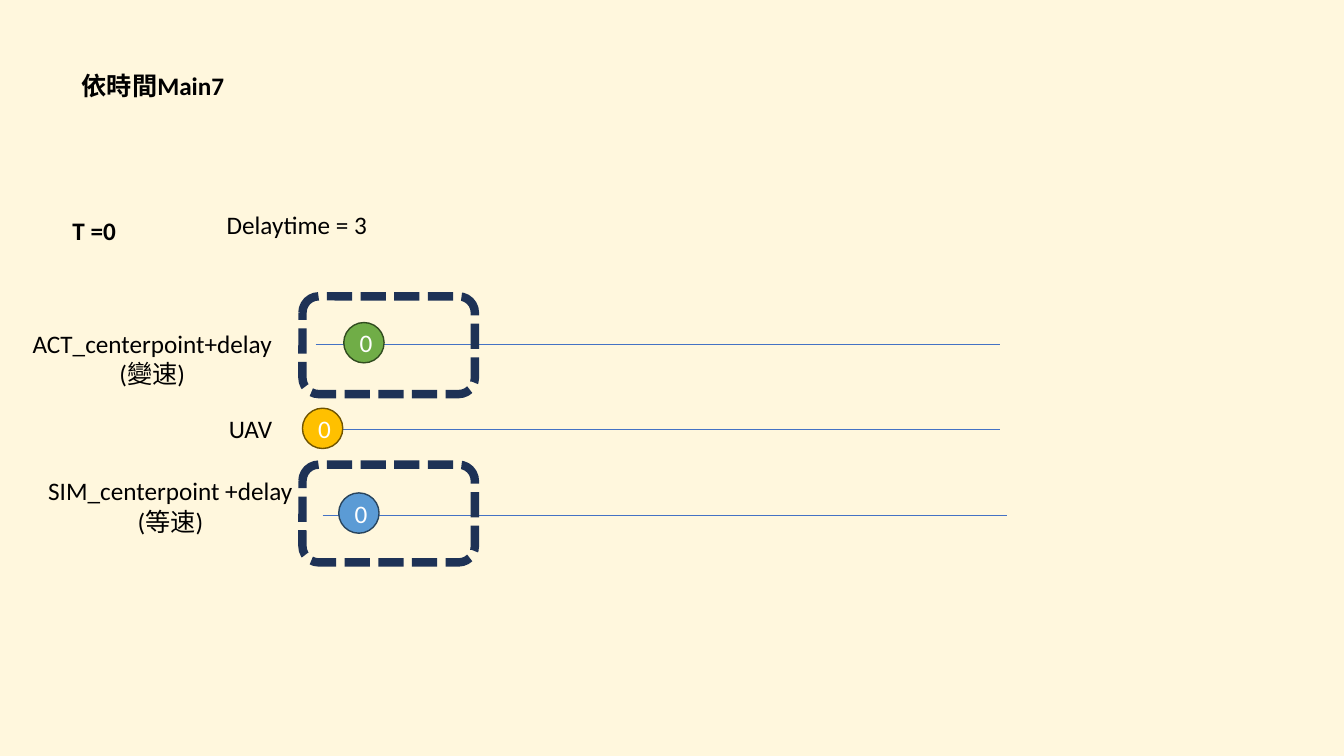
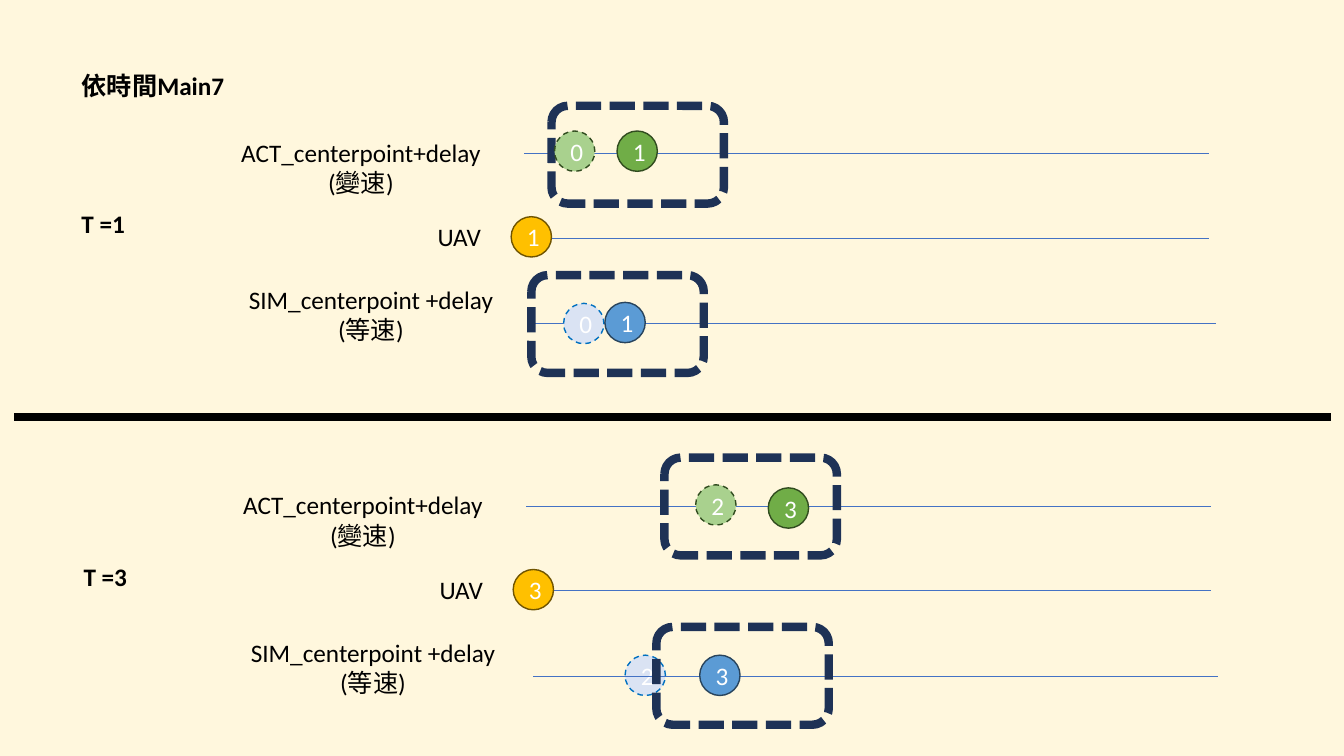
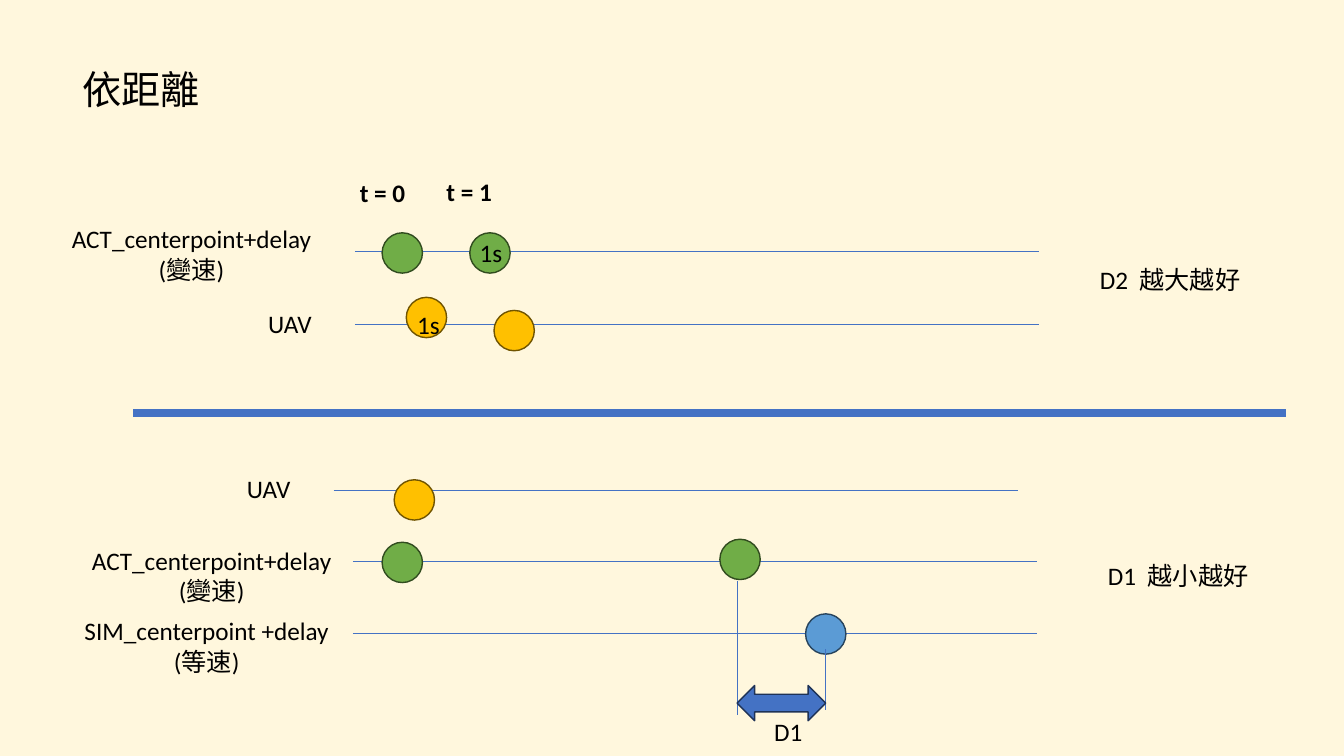
from dataclasses import dataclass

from lxml.etree import SubElement
from pptx import Presentation
from pptx.dml.color import RGBColor as Rgb
from pptx.enum.dml import MSO_LINE as Dash
from pptx.enum.shapes import MSO_CONNECTOR as Conn, MSO_SHAPE as Form
from pptx.enum.text import MSO_ANCHOR as Anchor, MSO_AUTO_SIZE as Fit, PP_ALIGN as Align
from pptx.oxml.ns import qn
from pptx.util import Pt

PX = 9144  # 100 px to the inch


@dataclass(frozen=True)
class Theme:
    font: str = "Calibri"
    size: int = 18
    large: int = 28
    back: str = "FFF7DD"
    ink: str = "000000"
    white: str = "FFFFFF"
    blue: str = "4472C4"
    navy: str = "1E3256"
    thin: float = 0.5
    edge: int = 1
    thick: int = 6


# Ball styles: fill, outline, dash
BALLS = {
    "act": ("70AD47", "314C1F", None),
    "uav": ("FFC000", "705400", None),
    "sim": ("5B9BD5", "28445D", None),
    "old act": ("A9D18E", "314C1F", Dash.DASH),
    "old sim": ("DAE3F3", "0070C0", Dash.DASH),
}
# Lane labels: text, width, offset from the start of the lane
LANES = {
    "act": ("ACT_centerpoint+delay\n(變速)", 284, -304, -21),
    "uav": ("UAV", 71, -100, -21),
    "sim": ("SIM_centerpoint +delay\n(等速)", 304, -311, -44),
}
LENGTH = 679


class Deck:
    def __init__(self, theme):
        self.theme = theme
        self.prs = Presentation()
        self.prs.slide_width, self.prs.slide_height = 1333 * PX, 750 * PX
        fill = self.prs.slide_master.background.fill
        fill.solid()
        fill.fore_color.rgb = Rgb.from_string(theme.back)

    def page(self, title, x, y, w, h, size=None, bold=False):
        self.slide = self.prs.slides.add_slide(self.prs.slide_layouts[5])
        head = self.slide.shapes.title
        head.left, head.top, head.width, head.height = (n * PX for n in (x, y, w, h))
        frame = head.text_frame
        frame.auto_size, frame.vertical_anchor = Fit.NONE, Anchor.TOP
        frame.word_wrap = True
        self.label(frame, title, size=size, bold=bold)

    def label(self, frame, text, color=None, align=Align.LEFT, size=None, bold=False):
        frame.text = text
        for par in frame.paragraphs:
            par.alignment = align
            font = par.font
            font.name, font.bold = self.theme.font, bold
            font.size = Pt(size or self.theme.size)
            font.color.rgb = Rgb.from_string(color or self.theme.ink)

    def text(self, text, x, y, w, h=40, wrap=True, **look):
        box = self.slide.shapes.add_textbox(x * PX, y * PX, w * PX, h * PX)
        box.text_frame.word_wrap = wrap
        self.label(box.text_frame, text, **look)

    def shape(self, form, x, y, w, h, line, width, fill=None, dash=None):
        item = self.slide.shapes.add_shape(form, x * PX, y * PX, w * PX, h * PX)
        item.shadow.inherit = False
        if fill:
            item.fill.solid()
            item.fill.fore_color.rgb = Rgb.from_string(fill)
        else:
            item.fill.background()
        item.line.color.rgb = Rgb.from_string(line)
        item.line.width = Pt(width)
        if dash:
            item.line.dash_style = dash
        return item

    def line(self, x1, y1, x2, y2, color=None, width=None):
        rule = self.slide.shapes.add_connector(
            Conn.STRAIGHT, x1 * PX, y1 * PX, x2 * PX, y2 * PX)
        rule.line.color.rgb = Rgb.from_string(color or self.theme.blue)
        rule.line.width = Pt(width or self.theme.thin)
        SubElement(rule._element.spPr, qn("a:effectLst"))

    def ball(self, kind, x, y, text=""):
        fill, line, dash = BALLS[kind]
        item = self.shape(Form.OVAL, x, y, 40, 40, line, self.theme.edge, fill, dash)
        if text:
            self.label(item.text_frame, text, self.theme.white, Align.CENTER)

    def frame(self, x, y):
        self.shape(Form.ROUNDED_RECTANGLE, x, y, 171, 97,
                   self.theme.navy, self.theme.thick, dash=Dash.SQUARE_DOT)

    def lane(self, kind, x, y, dx=None, dy=None):
        text, w, left, top = LANES[kind]
        self.line(x, y, x + LENGTH, y)
        self.text(text, x + (left if dx is None else dx), y + (top if dy is None else dy),
                  w, 71 if "\n" in text else 40, align=Align.CENTER)

    def scene(self, x, y, time, dx=None):
        """Three lanes with the vehicle at the start of the middle one."""
        self.lane("act", x, y)
        self.lane("uav", x, y + 84)
        self.ball("uav", x - 13, y + 63, time)
        self.lane("sim", x + 7, y + 169, dx)


def main():
    theme = Theme()
    deck = Deck(theme)
    top = ("依時間Main7", 71, 65, 195, 40)

    # Slide 1: start
    deck.page(*top, bold=True)
    deck.scene(313, 342, "0", -303)
    deck.ball("act", 341, 320, "0")
    deck.ball("sim", 336, 489, "0")
    deck.text("T =0", 62, 209, 195, bold=True)
    for y in (294, 461):
        deck.frame(300, y)
    deck.text("Delaytime = 3", 215, 203, 161)

    # Slide 2: two later times
    deck.page(*top, bold=True)
    deck.ball("old sim", 620, 650, "2")
    deck.scene(520, 152, "1")
    deck.ball("act", 612, 130, "1")
    deck.ball("old sim", 559, 301, "0")
    deck.ball("sim", 600, 300, "1")
    deck.text("T =1", 71, 202, 195, bold=True)
    deck.scene(522, 502, "3")
    deck.ball("act", 762, 484, "3")
    deck.ball("sim", 694, 650, "3")
    deck.text("T =3", 73, 552, 195, bold=True)
    for x, y in ((547, 105), (527, 273), (659, 454), (651, 622)):
        deck.frame(x, y)
    deck.line(14, 414, 1320, 414, theme.ink, theme.thick)
    deck.ball("old act", 550, 130, "0")
    deck.ball("old act", 690, 481, "2")

    # Slide 3: distances, upper half
    deck.page("依距離", 72, 60, 138, 57, size=theme.large)
    deck.lane("act", 352, 249, dy=-32)
    deck.lane("uav", 352, 322)
    for kind, x, y in (("act", 379, 231), ("act", 466, 231),
                       ("uav", 403, 295), ("uav", 490, 308)):
        deck.ball(kind, x, y)
    deck.text("t = 0", 347, 171, 85, bold=True)
    deck.text("t = 1", 433, 170, 85, bold=True)
    deck.text("1s", 404, 302, 54)
    deck.text("1s", 466, 231, 54)
    deck.text("D2  越大越好", 1081, 257, 161)
    deck.line(132, 410, 1275, 410, width=theme.thick)

    # Slide 3: distances, lower half
    deck.lane("uav", 331, 486)
    deck.lane("act", 350, 557, -282)
    deck.lane("sim", 350, 628, -297, -22)
    for kind, x, y in (("uav", 391, 476), ("act", 379, 538),
                       ("act", 714, 535), ("sim", 799, 609)):
        deck.ball(kind, x, y)
    deck.line(819, 644, 819, 704)
    deck.line(731, 576, 731, 709)
    deck.shape(Form.LEFT_RIGHT_ARROW, 731, 680, 88, 35, theme.navy, theme.edge, theme.blue)
    deck.text("D1", 758, 706, 49, wrap=False)
    deck.text("D1  越小越好", 1089, 551, 161)

    deck.prs.save("out.pptx")


if __name__ == "__main__":
    main()
